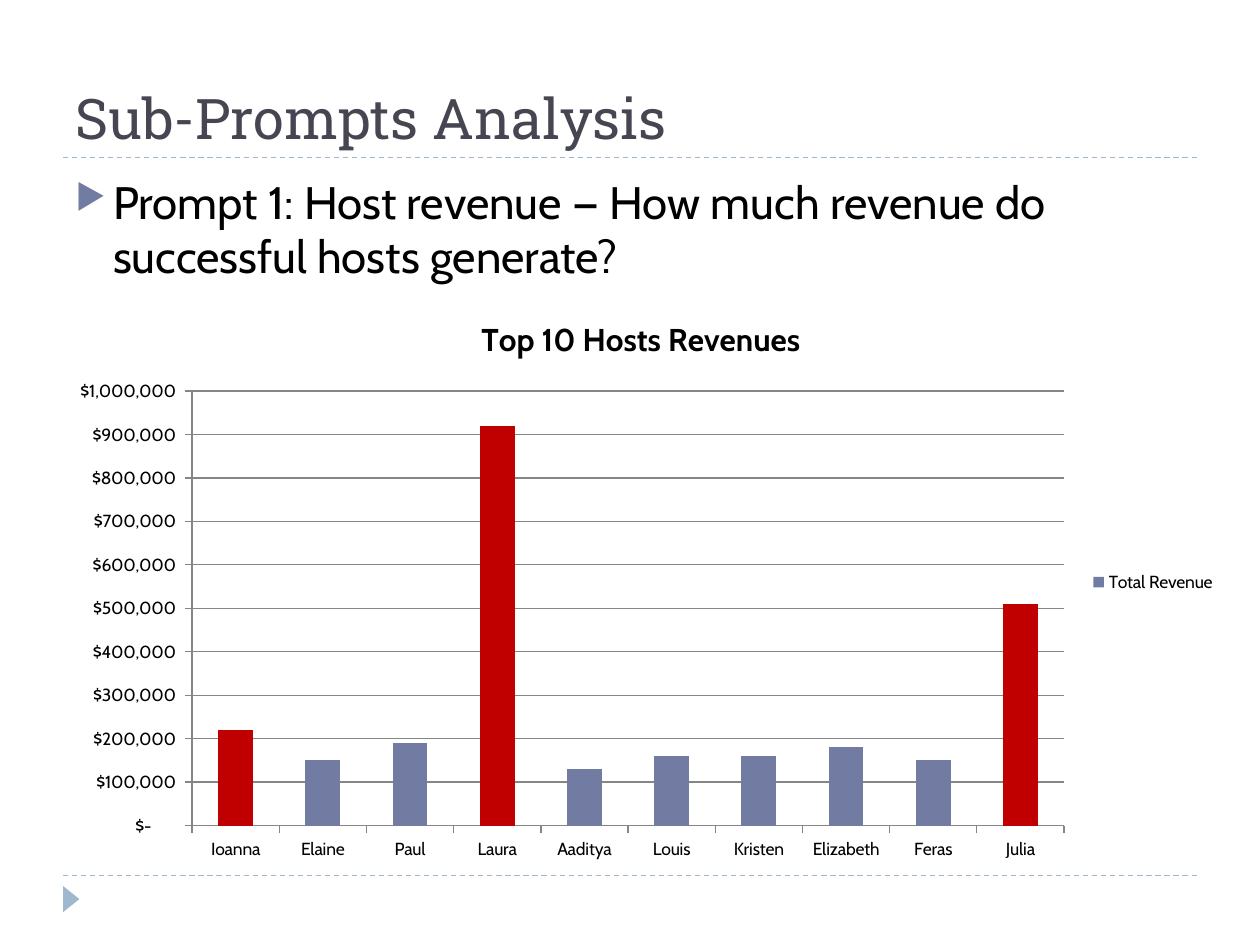
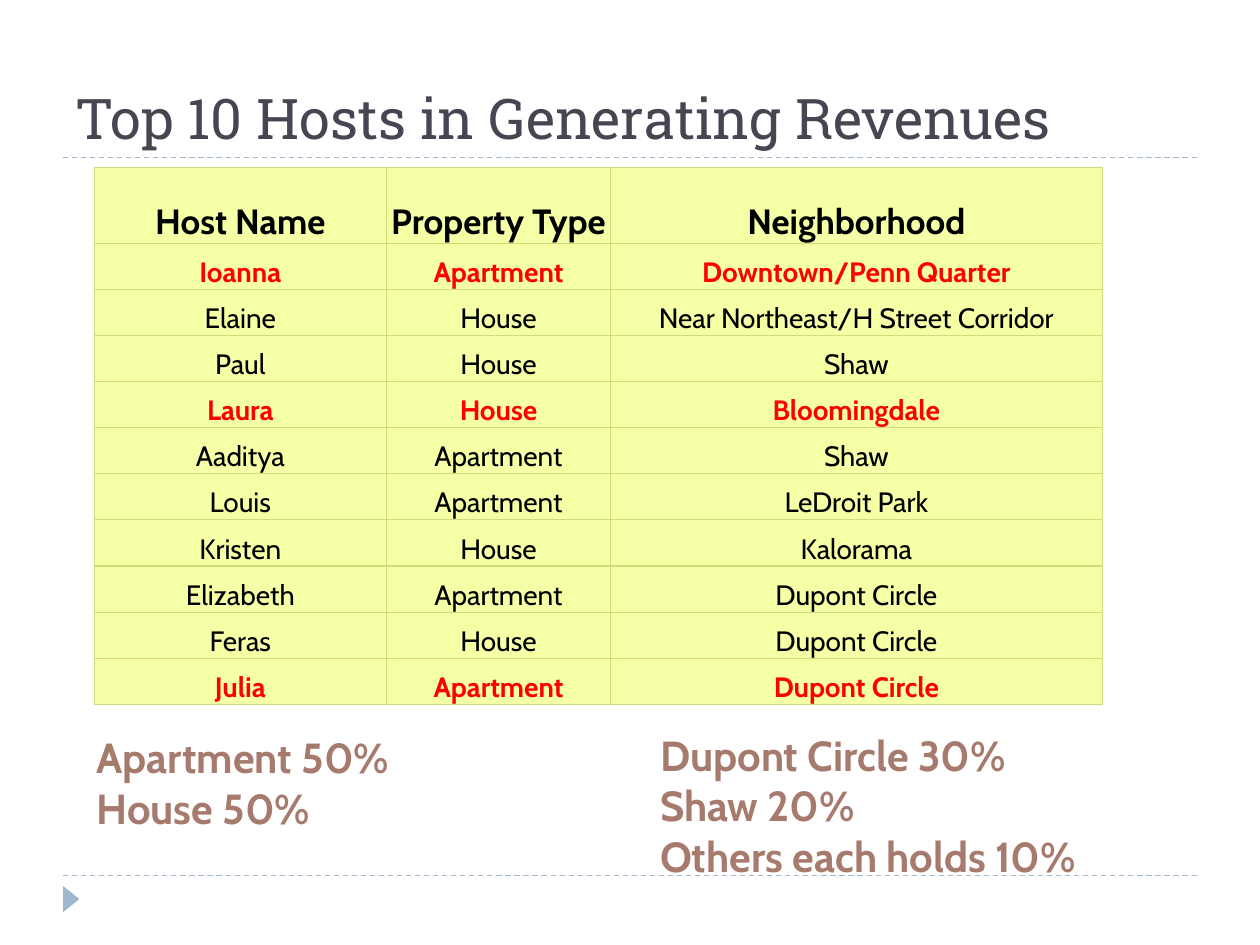
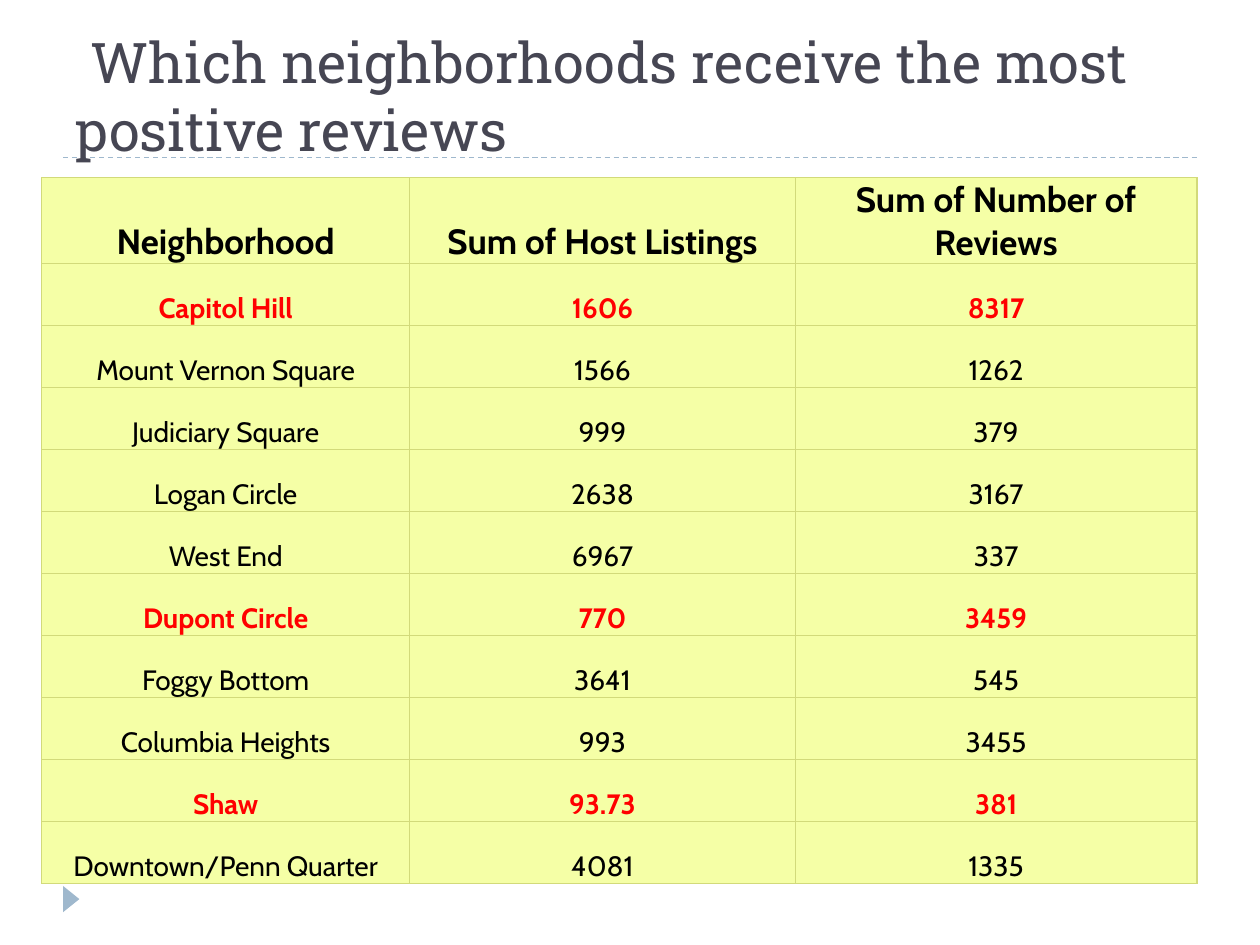
"""Build three slides on host revenues and neighborhood reviews."""
import dataclasses

import lxml.etree
import pptx
import pptx.chart.data
import pptx.dml.color
import pptx.enum.chart
import pptx.enum.dml
import pptx.enum.shapes
import pptx.enum.text
import pptx.oxml.ns
import pptx.util

Cm = pptx.util.Cm
Pt = pptx.util.Pt
qn = pptx.oxml.ns.qn
ALIGN = pptx.enum.text.PP_ALIGN
ANCHOR = pptx.enum.text.MSO_ANCHOR


@dataclasses.dataclass(frozen=True)
class Theme:
    heading_font: str = "Roboto Slab"
    body_font: str = "Cabin"
    heading: str = "464653"
    text: str = "000000"
    rule: str = "9FB8CD"
    accent: str = "727CA3"
    bar_highlight: str = "C00000"
    row_highlight: str = "FF0000"
    summary: str = "A67B6E"
    grid: str = "868686"
    cell: str = "F5FFA6"
    cell_border: str = "D2DA7A"
    title_size: int = 32
    body_size: int = 26
    summary_size: int = 24
    header_size: int = 20
    chart_title_size: int = 18
    cell_size: int = 16
    chart_size: int = 10


def rgb(value):
    return pptx.dml.color.RGBColor.from_string(value)


def write(p, text, *, font, size, color, bold=False, align=ALIGN.LEFT):
    p.alignment = align
    r = p.add_run()
    r.text = text
    r.font.name = font
    r.font.size = Pt(size)
    r.font.bold = bold
    r.font.color.rgb = rgb(color)


def add_xml(parent, tag, **attributes):
    return lxml.etree.SubElement(parent, qn(tag), attributes)


class Deck:
    def __init__(self, theme):
        self.theme = theme
        self.prs = pptx.Presentation()
        self.prs.slide_width, self.prs.slide_height = Cm(25.4), Cm(19.05)
        self.s = None

    def slide(self, title, height=2.74, indent=0):
        self.s = self.prs.slides.add_slide(self.prs.slide_layouts[6])
        for y in (17.65, 3.18):
            self.rule(y)
        self.marker()
        t = self.theme
        tf = self.box(1.27, 0.43, 22.86, height, anchor=ANCHOR.BOTTOM)
        p = tf.paragraphs[0]
        p._p.get_or_add_pPr().set("indent", str(Cm(indent)))
        write(p, title, font=t.heading_font, size=t.title_size, color=t.heading)

    def rule(self, y):
        line = self.s.shapes.add_connector(
            pptx.enum.shapes.MSO_CONNECTOR.STRAIGHT, Cm(1.27), Cm(y), Cm(24.13), Cm(y))
        line.line.color.rgb = rgb(self.theme.rule)
        line.line.width = Pt(0.75)
        line.line.dash_style = pptx.enum.dml.MSO_LINE.DASH
        add_xml(line._element.spPr, "a:effectLst")

    def marker(self):
        sp = self.s.shapes.add_shape(
            pptx.enum.shapes.MSO_SHAPE.ISOSCELES_TRIANGLE,
            Cm(1.17), Cm(17.96), Cm(0.53), Cm(0.33))
        sp.rotation = 90
        sp.shadow.inherit = False
        sp.fill.solid()
        sp.fill.fore_color.rgb = rgb(self.theme.rule)
        sp.line.fill.background()

    def box(self, x, y, w, h, anchor=ANCHOR.TOP, wrap=True):
        tf = self.s.shapes.add_textbox(Cm(x), Cm(y), Cm(w), Cm(h)).text_frame
        tf.word_wrap = wrap
        tf.vertical_anchor = anchor
        return tf

    def bullet(self, text):
        t = self.theme
        p = self.box(1.27, 3.38, 22.86, 13.72).paragraphs[0]
        pPr = p._p.get_or_add_pPr()
        pPr.set("marL", str(Cm(0.76)))
        pPr.set("indent", str(Cm(-0.76)))
        add_xml(add_xml(pPr, "a:buClr"), "a:srgbClr", val=t.accent)
        add_xml(pPr, "a:buSzPct", val="76000")
        add_xml(pPr, "a:buChar", char="▶")
        write(p, text, font=t.body_font, size=t.body_size, color=t.text)

    def summary(self, x, y, w, h, lines):
        t = self.theme
        tf = self.box(x, y, w, h, wrap=False)
        for i, line in enumerate(lines):
            p = tf.add_paragraph() if i else tf.paragraphs[0]
            write(p, line, font=t.body_font, size=t.summary_size,
                  color=t.summary, bold=True)

    def table(self, x, y, widths, header_height, row_height, rows, highlights):
        heights = [header_height] + [row_height] * (len(rows) - 1)
        table = self.s.shapes.add_table(
            len(rows), len(widths), Cm(x), Cm(y),
            Cm(sum(widths)), Cm(sum(heights))).table
        for column, width in zip(table.columns, widths):
            column.width = Cm(width)
        for i, (row, height) in enumerate(zip(rows, heights)):
            table.rows[i].height = Cm(height)
            for j, text in enumerate(row):
                self.cell(table.cell(i, j), text, i == 0, row[0] in highlights)

    def cell(self, cell, text, header, highlighted):
        t = self.theme
        cell.margin_left = cell.margin_right = cell.margin_top = Cm(0.03)
        cell.margin_bottom = 0
        cell.vertical_anchor = ANCHOR.BOTTOM
        tcPr = cell._tc.get_or_add_tcPr()
        for side in ("a:lnL", "a:lnR", "a:lnT", "a:lnB"):
            ln = add_xml(tcPr, side, w=str(Pt(0.75)))
            add_xml(add_xml(ln, "a:solidFill"), "a:srgbClr", val=t.cell_border)
        cell.fill.solid()
        cell.fill.fore_color.rgb = rgb(t.cell)
        write(cell.text_frame.paragraphs[0], text, font=t.body_font,
              size=t.header_size if header else t.cell_size,
              color=t.row_highlight if highlighted else t.text,
              bold=header or highlighted, align=ALIGN.CENTER)

    def column_chart(self, x, y, w, h, title, series_name, values, highlights):
        t = self.theme
        data = pptx.chart.data.CategoryChartData()
        data.categories = list(values)
        data.add_series(series_name, list(values.values()))
        chart = self.s.shapes.add_chart(
            pptx.enum.chart.XL_CHART_TYPE.COLUMN_CLUSTERED,
            Cm(x), Cm(y), Cm(w), Cm(h), data).chart
        chart.font.name = t.body_font
        chart.font.size = Pt(t.chart_size)
        chart.font.color.rgb = rgb(t.text)
        chart.has_title = True
        write(chart.chart_title.text_frame.paragraphs[0], title, font=t.body_font,
              size=t.chart_title_size, color=t.text, bold=True, align=ALIGN.CENTER)
        chart.chart_title.include_in_layout = False
        chart.has_legend = True
        chart.legend.position = pptx.enum.chart.XL_LEGEND_POSITION.RIGHT
        chart.legend.include_in_layout = False

        axis = chart.value_axis
        axis.minimum_scale, axis.maximum_scale, axis.major_unit = 0, 1000000, 100000
        axis.has_major_gridlines = True
        axis.tick_labels.number_format = (
            r'_("$"* #,##0_);_("$"* \(#,##0\);_("$"* "-"??_);_(@_)')
        axis.tick_labels.number_format_is_linked = False
        for ax in (axis, chart.category_axis):
            ax.major_tick_mark = pptx.enum.chart.XL_TICK_MARK.OUTSIDE
        for item in (axis, chart.category_axis, axis.major_gridlines):
            item.format.line.color.rgb = rgb(t.grid)
            item.format.line.width = Pt(0.75)

        plot = chart.plots[0]
        plot.vary_by_categories = False
        plot.gap_width = 150
        series = plot.series[0]
        series.format.fill.solid()
        series.format.fill.fore_color.rgb = rgb(t.accent)
        for i, name in enumerate(values):
            if name in highlights:
                fill = series.points[i].format.fill
                fill.solid()
                fill.fore_color.rgb = rgb(t.bar_highlight)

    def save(self):
        self.prs.save("out.pptx")


TOP_HOSTS = {"Ioanna", "Laura", "Julia"}
TOP_NEIGHBORHOODS = {"Capitol Hill", "Dupont Circle", "Shaw"}

REVENUES = {
    "Ioanna": 220000, "Elaine": 150000, "Paul": 190000, "Laura": 920000,
    "Aaditya": 130000, "Louis": 160000, "Kristen": 160000,
    "Elizabeth": 180000, "Feras": 150000, "Julia": 510000,
}

HOSTS = [
    ("Host Name", "Property Type", "Neighborhood"),
    ("Ioanna", "Apartment", "Downtown/Penn Quarter"),
    ("Elaine", "House", "Near Northeast/H Street Corridor"),
    ("Paul", "House", "Shaw"),
    ("Laura", "House", "Bloomingdale"),
    ("Aaditya", "Apartment", "Shaw"),
    ("Louis", "Apartment", "LeDroit Park"),
    ("Kristen", "House", "Kalorama"),
    ("Elizabeth", "Apartment", "Dupont Circle"),
    ("Feras", "House", "Dupont Circle"),
    ("Julia", "Apartment", "Dupont Circle"),
]

REVIEWS = [
    ("Neighborhood", "Sum of Host Listings", "Sum of Number of Reviews"),
    ("Capitol Hill", "1606", "8317"),
    ("Mount Vernon Square", "1566", "1262"),
    ("Judiciary Square", "999", "379"),
    ("Logan Circle", "2638", "3167"),
    ("West End", "6967", "337"),
    ("Dupont Circle", "770", "3459"),
    ("Foggy Bottom", "3641", "545"),
    ("Columbia Heights", "993", "3455"),
    ("Shaw", "93.73", "381"),
    ("Downtown/Penn Quarter", "4081", "1335"),
]


def main():
    deck = Deck(Theme())

    deck.slide("Sub-Prompts Analysis")
    deck.bullet("Prompt 1: Host revenue — How much revenue do successful hosts generate?")
    deck.column_chart(1.07, 5.92, 23.7, 11.63, "Top 10 Hosts Revenues",
                      "Total Revenue", REVENUES, TOP_HOSTS)

    deck.slide("Top 10 Hosts in Generating Revenues")
    deck.table(1.9, 3.38, (5.89, 4.52, 9.91), 1.52, 0.93, HOSTS, TOP_HOSTS)
    deck.summary(1.7, 14.63, 6.73, 2.31, ("Apartment 50%", "House 50%"))
    deck.summary(13.06, 14.58, 9.91, 3.33,
                 ("Dupont Circle 30%", "Shaw 20%", "Others each holds 10%"))

    deck.slide("Which neighborhoods receive the most positive reviews",
               height=2.97, indent=0.3)
    deck.table(0.84, 3.58, (7.42, 7.77, 8.1), 1.7, 1.25, REVIEWS, TOP_NEIGHBORHOODS)

    deck.save()


if __name__ == "__main__":
    main()
